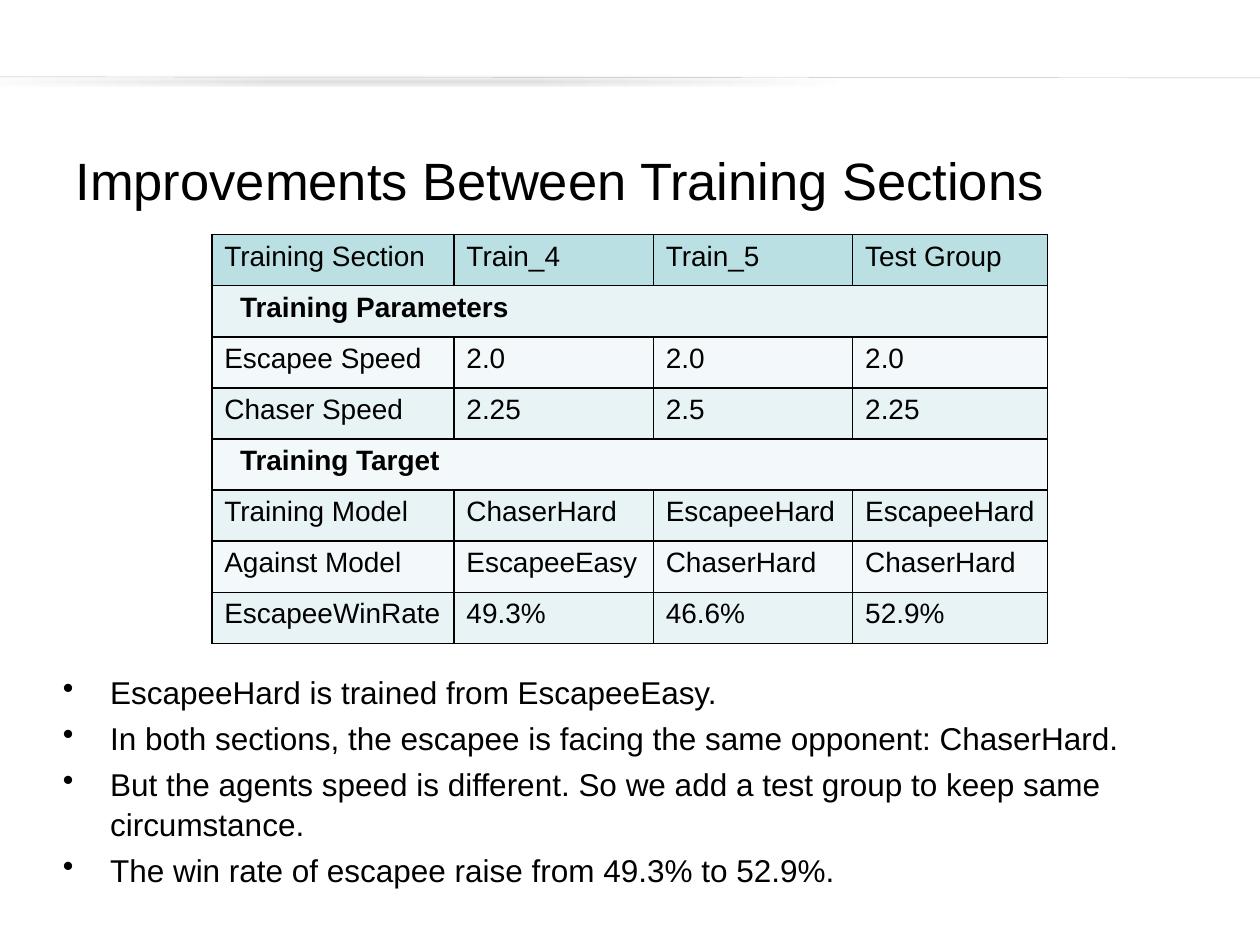
from dataclasses import dataclass

from lxml import etree
from pptx import Presentation
from pptx.dml.color import RGBColor
from pptx.enum.shapes import MSO_CONNECTOR
from pptx.enum.text import MSO_ANCHOR, PP_ALIGN
from pptx.oxml import parse_xml
from pptx.oxml.ns import nsdecls, qn
from pptx.util import Cm, Pt

STRAIGHT = MSO_CONNECTOR.STRAIGHT
MIDDLE, TOP = MSO_ANCHOR.MIDDLE, MSO_ANCHOR.TOP
LEFT = PP_ALIGN.LEFT
TITLE_ONLY = 5


@dataclass(frozen=True)
class Theme:
    font: str = "Arial"
    text: str = "000000"
    rule: str = "BFBFBF"
    header: str = "BBE0E3"
    bands: tuple = ("E7F3F4", "F3F9FA")
    title_size: int = 30
    bullet_size: int = 18
    table_size: int = 16


TITLE = "Improvements Between Training Sections"
COLUMN_WIDTHS = [4.88, 4.02, 4.02, 3.93]
ROW_HEIGHT = 1.03
# A row with a single entry is a section heading across all columns.
ROWS = [
    ["Training Section", "Train_4", "Train_5", "Test Group"],
    ["Training Parameters"],
    ["Escapee Speed", "2.0", "2.0", "2.0"],
    ["Chaser Speed", "2.25", "2.5", "2.25"],
    ["Training Target"],
    ["Training Model", "ChaserHard", "EscapeeHard", "EscapeeHard"],
    ["Against Model", "EscapeeEasy", "ChaserHard", "ChaserHard"],
    ["EscapeeWinRate", "49.3%", "46.6%", "52.9%"],
]
BULLETS = [
    "EscapeeHard is trained from EscapeeEasy.",
    "In both sections, the escapee is facing the same opponent: ChaserHard.",
    "But the agents speed is different. So we add a test group to keep same circumstance.",
    "The win rate of escapee raise from 49.3% to 52.9%.",
]


def set_values(target, values):
    for name, value in values.items():
        setattr(target, name, value)


class SlideBuilder:
    def __init__(self, slide, theme):
        self.slide = slide
        self.theme = theme

    def set_text(self, paragraph, text, size, bold=False):
        paragraph.text = text
        paragraph.alignment = LEFT
        font = paragraph.runs[0].font
        set_values(font, {"name": self.theme.font, "size": Pt(size), "bold": bold})
        font.color.rgb = RGBColor.from_string(self.theme.text)

    def add_title(self, text, left, top, width, height):
        title = self.slide.shapes.title
        set_values(title, {"left": Cm(left), "top": Cm(top),
                           "width": Cm(width), "height": Cm(height)})
        set_values(title.text_frame, {"vertical_anchor": MIDDLE, "word_wrap": True})
        self.set_text(title.text_frame.paragraphs[0], text, self.theme.title_size)

    def add_header_rule(self, left, top, right, bottom):
        """Draw the thin rule with its soft shadow behind everything else."""
        rule = self.slide.shapes.add_connector(
            STRAIGHT, Cm(left), Cm(top), Cm(right), Cm(bottom))
        rule.line.width = Pt(0.25)
        rule.line.color.rgb = RGBColor.from_string(self.theme.rule)
        rule._element.spPr.append(parse_xml(
            f'<a:effectLst {nsdecls("a")}>'
            f'<a:outerShdw blurRad="{Pt(3.1)}" dist="{Pt(1.6)}" dir="5400000" rotWithShape="0">'
            '<a:srgbClr val="000000"><a:alpha val="38000"/></a:srgbClr>'
            '</a:outerShdw></a:effectLst>'))
        self.slide.shapes._spTree.insert(2, rule._element)

    def set_borders(self, cell):
        properties = cell._tc.get_or_add_tcPr()
        for position, side in enumerate(("lnL", "lnR", "lnT", "lnB")):
            properties.insert(position, parse_xml(
                f'<a:{side} {nsdecls("a")} w="{Pt(1)}"><a:solidFill>'
                f'<a:srgbClr val="{self.theme.text}"/></a:solidFill></a:{side}>'))

    def add_table(self, rows, left, top, column_widths, row_height):
        table = self.slide.shapes.add_table(
            len(rows), len(column_widths), Cm(left), Cm(top),
            Cm(sum(column_widths)), Cm(row_height * len(rows))).table
        for column, width in zip(table.columns, column_widths):
            column.width = Cm(width)
        for index, values in enumerate(rows):
            table.rows[index].height = Cm(row_height)
            is_section = len(values) == 1
            color = self.theme.bands[(index - 1) % 2] if index else self.theme.header
            cells = list(table.rows[index].cells)
            for cell in cells:
                cell.fill.solid()
                cell.fill.fore_color.rgb = RGBColor.from_string(color)
                self.set_borders(cell)
            for cell, value in zip(cells, values):
                cell.vertical_anchor = TOP
                self.set_text(cell.text_frame.paragraphs[0], value,
                              self.theme.table_size, is_section)
            if is_section:
                cells[0].margin_left = Cm(0.57)
                cells[0].merge(cells[-1])

    def add_bullets(self, items, left, top, width, height):
        text_frame = self.slide.shapes.add_textbox(
            Cm(left), Cm(top), Cm(width), Cm(height)).text_frame
        text_frame.word_wrap = True
        for index, item in enumerate(items):
            paragraph = text_frame.add_paragraph() if index else text_frame.paragraphs[0]
            properties = paragraph._p.get_or_add_pPr()
            properties.set("marL", str(Cm(0.95)))
            properties.set("indent", str(-Cm(0.95)))
            etree.SubElement(properties, qn("a:buChar")).set("char", "•")
            paragraph.line_spacing = 1.05
            if index:
                paragraph.space_before = Pt(3.6)
            self.set_text(paragraph, item, self.theme.bullet_size)


def main():
    presentation = Presentation()
    set_values(presentation, {"slide_width": Cm(25.4), "slide_height": Cm(19.05)})
    slide = presentation.slides.add_slide(presentation.slide_layouts[TITLE_ONLY])
    builder = SlideBuilder(slide, Theme())
    builder.add_header_rule(0, 1.55, 25.4, 1.57)
    builder.add_title(TITLE, 1.27, 2.5, 22.86, 2.24)
    builder.add_bullets(BULLETS, 1.02, 13.41, 23.11, 5.3)
    builder.add_table(ROWS, 4.27, 4.73, COLUMN_WIDTHS, ROW_HEIGHT)
    presentation.save("out.pptx")


if __name__ == "__main__":
    main()
